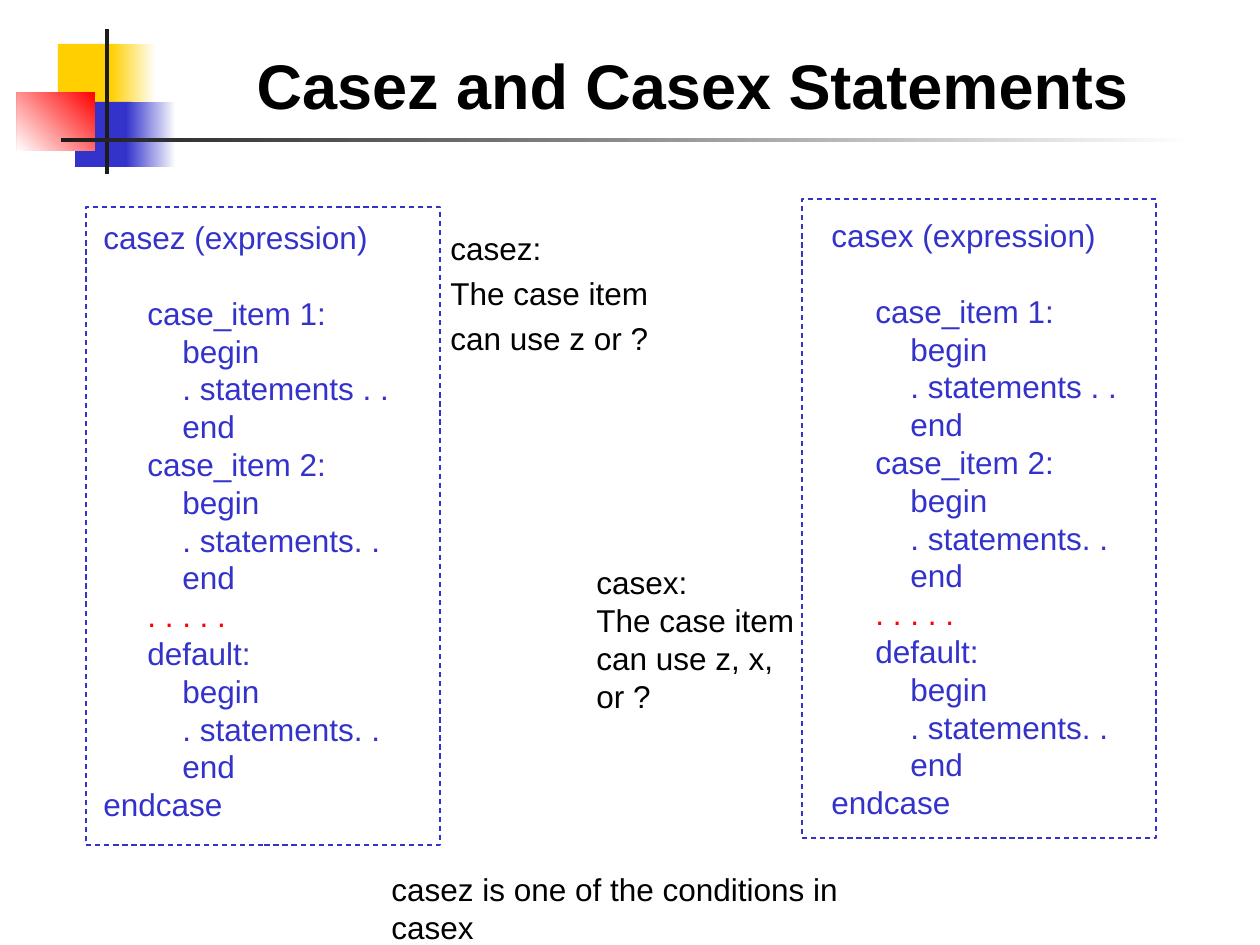
from dataclasses import dataclass
from typing import Optional

from pptx import Presentation
from pptx.dml.color import RGBColor
from pptx.enum.dml import MSO_LINE
from pptx.enum.shapes import MSO_SHAPE
from pptx.enum.text import MSO_ANCHOR, PP_ALIGN
from pptx.util import Emu, Pt

EMU_PER_INCH = 914400
PX_PER_INCH = 126
FONT = "Arial"
LINE_HEIGHT = 1.2  # line pitch as a multiple of the text size
BODY_SIZE = 18
COLORS = {
    "white": "FFFFFF", "black": "000000", "ink": "1C1C1C",
    "yellow": "FFCF01", "blue": "3333CC", "red": "FF0000",
}


@dataclass(frozen=True)
class Box:
    left: int
    top: int
    width: int
    height: int


@dataclass(frozen=True)
class Block:
    box: Box
    color: str
    end_color: Optional[str] = None
    angle: int = 0


@dataclass(frozen=True)
class CodeLine:
    text: str
    level: int = 0
    color: str = "blue"
    gap_after: bool = False


@dataclass(frozen=True)
class Listing:
    keyword: str
    frame: Box
    text_box: Box


@dataclass(frozen=True)
class Note:
    box: Box
    lines: tuple[str, ...]
    spacing: float = 1.0
    wrap: bool = True


# Master decoration, from back to front
DECORATION = [
    Block(Box(58, 44, 60, 65), "yellow"),
    Block(Box(111, 44, 45, 65), "white", "yellow", 180),
    Block(Box(75, 102, 57, 65), "blue"),
    Block(Box(126, 102, 50, 65), "white", "blue", 180),
    Block(Box(17, 92, 78, 59), "red", "white", 225),
    Block(Box(105, 29, 4, 145), "ink"),
    Block(Box(61, 138, 1134, 4), "white", "ink", 180),
]
LISTINGS = [
    Listing("casez", Box(86, 207, 354, 638), Box(91, 212, 340, 617)),
    Listing("casex", Box(802, 199, 354, 639), Box(819, 210, 330, 617)),
]
NOTES = [
    Note(Box(438, 215, 265, 375), ("casez:", "The case item can use z or ?"), 1.2),
    Note(Box(379, 864, 562, 50), ("casez is one of the conditions in casex",), wrap=False),
    Note(Box(584, 557, 226, 164), ("casex:", "The case item can use z, x, or ?")),
]
LEVEL_INDENTS = (0, 44, 79)


def px(length: int) -> Emu:
    return Emu(round(length * EMU_PER_INCH / PX_PER_INCH))


def rgb(name: str) -> RGBColor:
    return RGBColor.from_string(COLORS[name])


def place(box: Box) -> tuple[Emu, Emu, Emu, Emu]:
    return px(box.left), px(box.top), px(box.width), px(box.height)


def add_run(paragraph, text: str, color: str, size: int = BODY_SIZE, bold: bool = False) -> None:
    run = paragraph.add_run()
    run.text = text
    run.font.name = FONT
    run.font.size = Pt(size)
    run.font.bold = bold
    run.font.color.rgb = rgb(color)


def add_rectangle(slide, box: Box):
    shape = slide.shapes.add_shape(MSO_SHAPE.RECTANGLE, *place(box))
    shape.shadow.inherit = False
    return shape


def add_block(slide, block: Block) -> None:
    shape = add_rectangle(slide, block.box)
    shape.line.fill.background()
    if block.end_color is None:
        shape.fill.solid()
        shape.fill.fore_color.rgb = rgb(block.color)
        return
    shape.fill.gradient()
    shape.fill.gradient_angle = block.angle
    for stop, color in zip(shape.fill.gradient_stops, (block.color, block.end_color)):
        stop.color.rgb = rgb(color)


def add_frame(slide, box: Box) -> None:
    shape = add_rectangle(slide, box)
    shape.fill.background()
    shape.line.color.rgb = rgb("blue")
    shape.line.width = Pt(0.75)
    shape.line.dash_style = MSO_LINE.DASH


def add_paragraphs(slide, box: Box, count: int, spacing: float = 1.0, wrap: bool = True) -> list:
    frame = slide.shapes.add_textbox(*place(box)).text_frame
    frame.word_wrap = wrap
    paragraphs = [frame.paragraphs[0]] + [frame.add_paragraph() for _ in range(count - 1)]
    for paragraph in paragraphs:
        paragraph.line_spacing = Pt(round(BODY_SIZE * LINE_HEIGHT * spacing, 1))
    return paragraphs


def case_item(label: str, statements: str = ". statements. .") -> list[CodeLine]:
    return [CodeLine(label, 1)] + [CodeLine(text, 2) for text in ("begin", statements, "end")]


def code_lines(keyword: str) -> list[CodeLine]:
    return [
        CodeLine(f"{keyword} (expression)", gap_after=True),
        *case_item("case_item 1:", ". statements . ."),
        *case_item("case_item 2:"),
        CodeLine(". . . . .", 1, "red"),
        *case_item("default:"),
        CodeLine("endcase"),
    ]


def add_listing(slide, listing: Listing) -> None:
    lines = code_lines(listing.keyword)
    paragraphs = add_paragraphs(slide, listing.text_box, len(lines))
    for paragraph, line in zip(paragraphs, lines):
        properties = paragraph._p.get_or_add_pPr()
        properties.set("marL", str(px(LEVEL_INDENTS[line.level])))
        if line.gap_after:
            paragraph.space_after = Pt(BODY_SIZE * LINE_HEIGHT)
        add_run(paragraph, line.text, line.color)


def add_note(slide, note: Note) -> None:
    paragraphs = add_paragraphs(slide, note.box, len(note.lines), note.spacing, note.wrap)
    for paragraph, text in zip(paragraphs, note.lines):
        add_run(paragraph, text, "black")


def set_title(slide, text: str, box: Box) -> None:
    title = slide.shapes.title
    title.left, title.top, title.width, title.height = place(box)
    title.text_frame.vertical_anchor = MSO_ANCHOR.TOP
    paragraph = title.text_frame.paragraphs[0]
    paragraph.alignment = PP_ALIGN.LEFT
    paragraph.line_spacing = Pt(36 * LINE_HEIGHT)
    add_run(paragraph, text, "black", 36, bold=True)


def main() -> None:
    presentation = Presentation()
    presentation.slide_width, presentation.slide_height = px(1260), px(945)
    slide = presentation.slides.add_slide(presentation.slide_layouts[5])

    for block in DECORATION:
        add_block(slide, block)
    set_title(slide, "Casez and Casex Statements", Box(244, 40, 945, 88))

    # Code listings in dashed frames
    for listing in LISTINGS:
        add_frame(slide, listing.frame)
    for listing in LISTINGS:
        add_listing(slide, listing)

    # Explanations
    for note in NOTES:
        add_note(slide, note)

    presentation.save("out.pptx")


if __name__ == "__main__":
    main()
